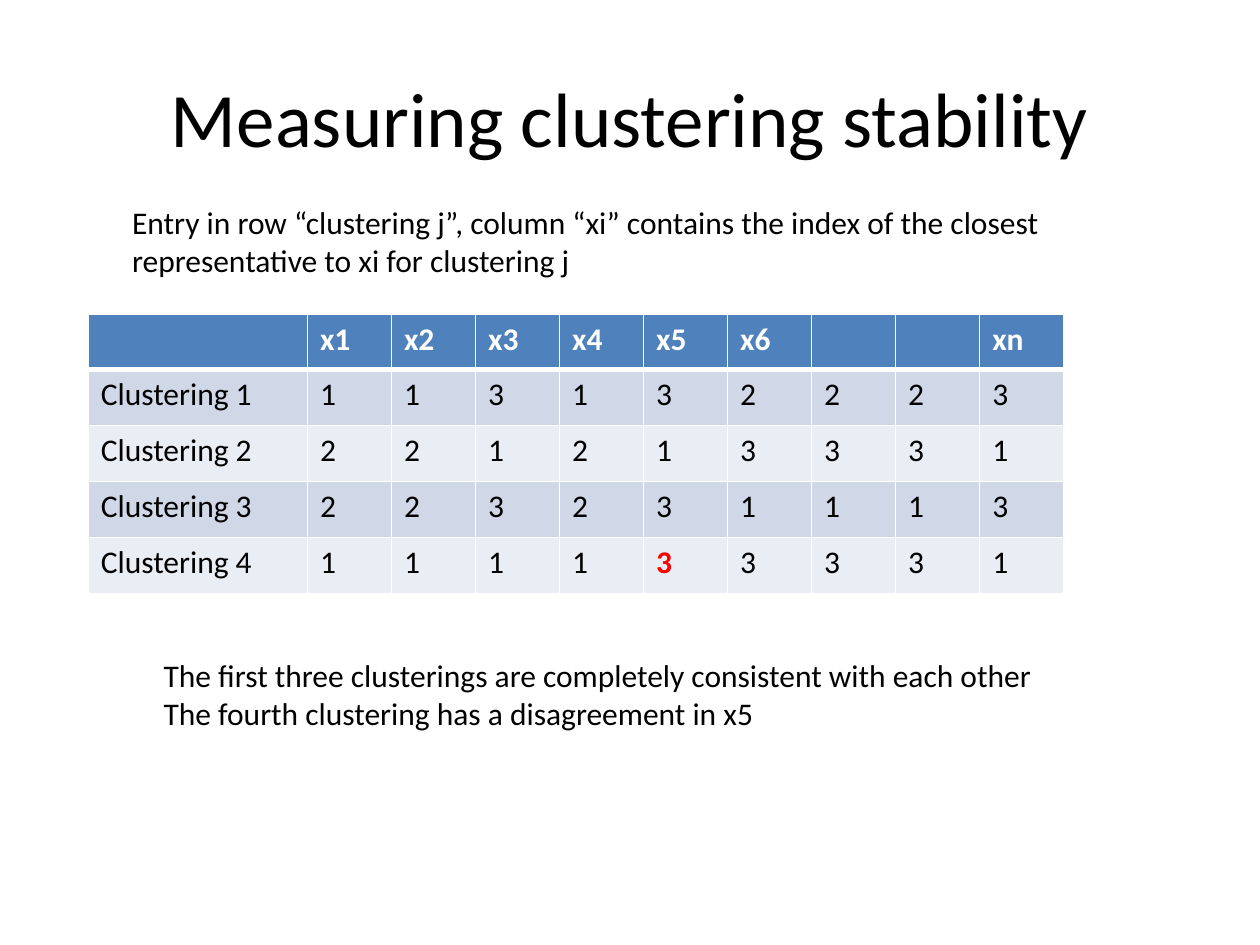
from lxml.etree import SubElement
from pptx import Presentation
from pptx.dml.color import RGBColor
from pptx.enum.text import MSO_ANCHOR, MSO_AUTO_SIZE, PP_ALIGN
from pptx.oxml.ns import qn
from pptx.util import Inches, Pt

BLACK, WHITE, RED = "000000", "FFFFFF", "FF0000"
HEADER_FILL, BAND_FILLS = "4F81BD", ["E9EDF4", "D0D8E8"]


def style_text(frame, size, color=BLACK, bold=False):
    for para in frame.paragraphs:
        for span in para.runs:
            span.font.name = "Calibri"
            span.font.size = Pt(size)
            span.font.bold = bold
            span.font.color.rgb = RGBColor.from_string(color)


def add_border(cell, side, width):
    line = SubElement(cell._tc.get_or_add_tcPr(), qn(f"a:{side}"), w=str(Pt(width)))
    fill = SubElement(line, qn("a:solidFill"))
    SubElement(fill, qn("a:srgbClr"), val=WHITE)


deck = Presentation()
deck.slide_width, deck.slide_height = Inches(10), Inches(7.5)
page = deck.slides.add_slide(deck.slide_layouts[6])

# Title
title = page.shapes.add_textbox(Inches(0.5), Inches(0.3), Inches(9), Inches(1.25))
title.text_frame.word_wrap = True
title.text_frame.vertical_anchor = MSO_ANCHOR.MIDDLE
title.text_frame.text = "Measuring clustering stability"
title.text_frame.paragraphs[0].alignment = PP_ALIGN.CENTER
style_text(title.text_frame, 44)

# Table of closest representatives
rows = [
    ["", "x1", "x2", "x3", "x4", "x5", "x6", "", "", "xn"],
    ["Clustering 1", 1, 1, 3, 1, 3, 2, 2, 2, 3],
    ["Clustering 2", 2, 2, 1, 2, 1, 3, 3, 3, 1],
    ["Clustering 3", 2, 2, 3, 2, 3, 1, 1, 1, 3],
    ["Clustering 4", 1, 1, 1, 1, 3, 3, 3, 3, 1],
]
disagreement = (4, 5)
label_width, value_width, row_height = Inches(1.74), Inches(0.667), Inches(0.444)
columns = len(rows[0])
table = page.shapes.add_table(
    len(rows), columns, Inches(0.7), Inches(2.49),
    label_width + (columns - 1) * value_width, len(rows) * row_height).table
for index, column in enumerate(table.columns):
    column.width = value_width if index else label_width

for row, values in enumerate(rows):
    table.rows[row].height = row_height
    for column, value in enumerate(values):
        cell = table.cell(row, column)
        for side in ("lnL", "lnR", "lnT", "lnB"):
            under_header = (row, side) in [(0, "lnB"), (1, "lnT")]
            add_border(cell, side, 3 if under_header else 1)
        cell.fill.solid()
        fill = BAND_FILLS[row % 2] if row else HEADER_FILL
        cell.fill.fore_color.rgb = RGBColor.from_string(fill)
        cell.text_frame.text = str(value)
        marked = (row, column) == disagreement
        color = RED if marked else BLACK if row else WHITE
        style_text(cell.text_frame, 18, color, bold=marked or row == 0)

# Notes above and below the table
notes = [
    (0.95, 1.56, 7.49, ["Entry in row “clustering j”, column “xi” contains the index of "
                        "the closest representative to xi for clustering j"]),
    (1.2, 5.16, 7.37, ["The first three clusterings are completely consistent with each other",
                       "The fourth clustering has a disagreement in x5"]),
]
for left, top, width, lines in notes:
    box = page.shapes.add_textbox(Inches(left), Inches(top), Inches(width), Inches(0.71))
    box.text_frame.word_wrap = True
    box.text_frame.auto_size = MSO_AUTO_SIZE.SHAPE_TO_FIT_TEXT
    box.text_frame.text = "\n".join(lines)
    style_text(box.text_frame, 18)

deck.save("out.pptx")
